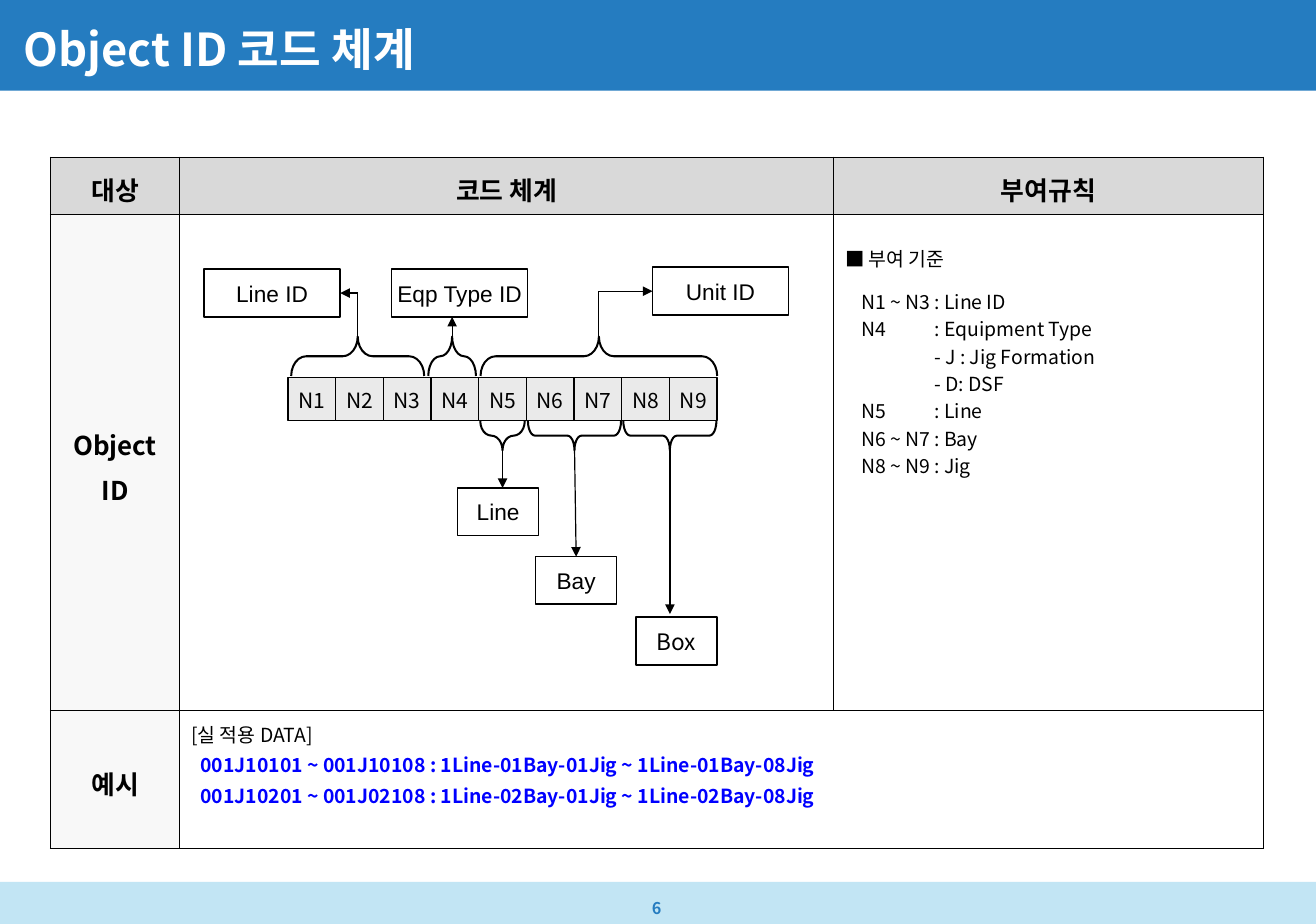
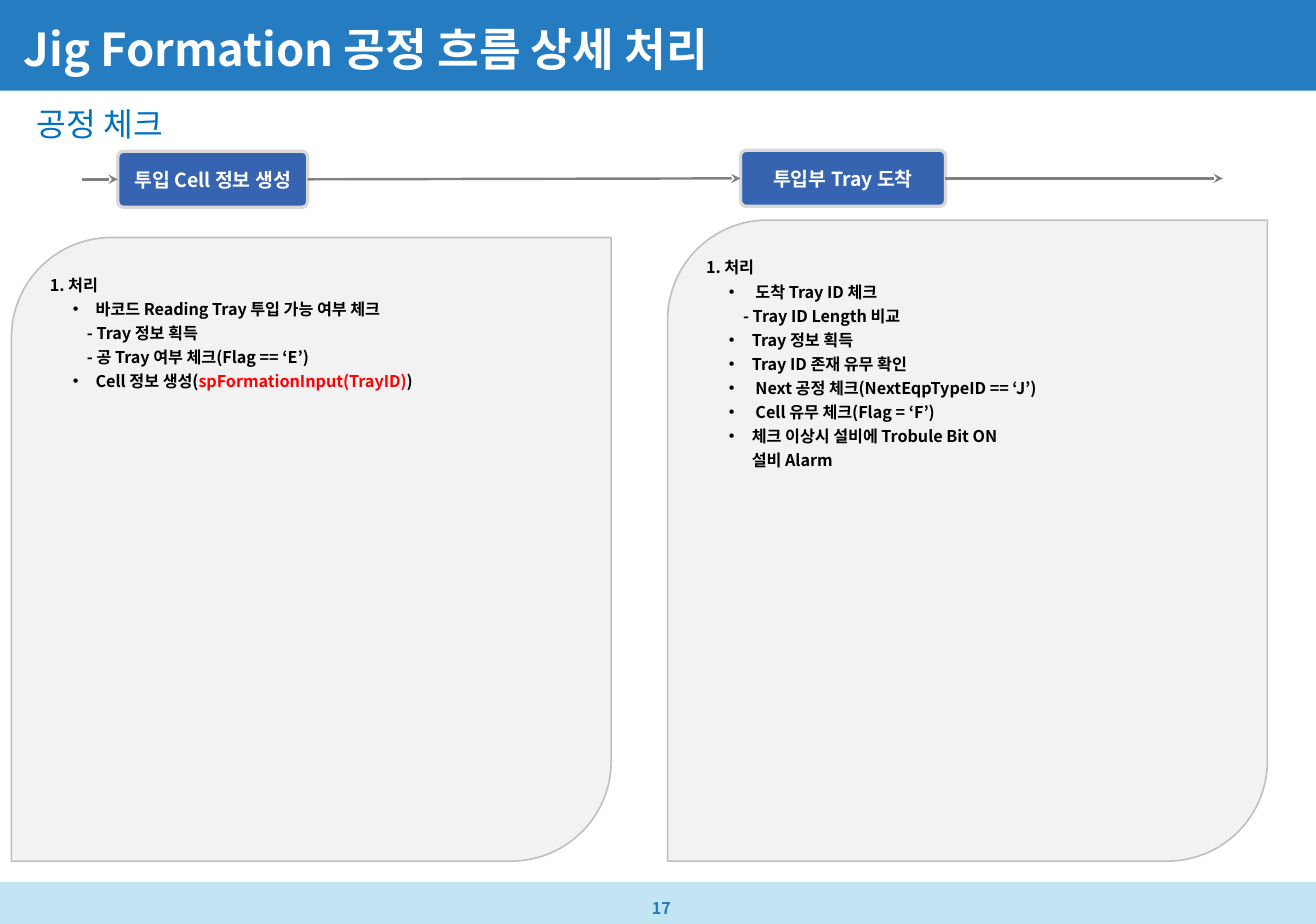
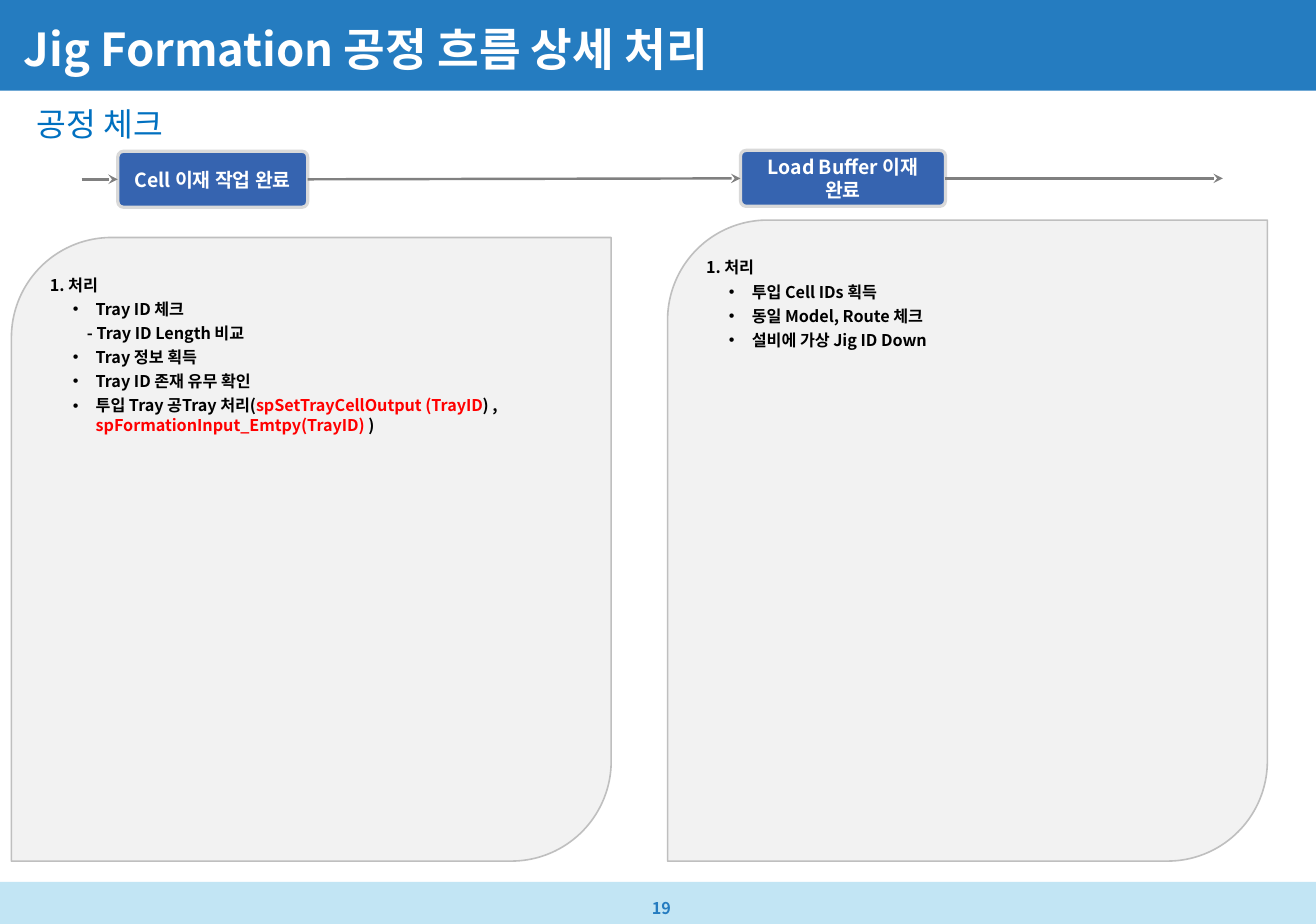
from dataclasses import dataclass

from lxml import etree
from pptx import Presentation
from pptx.dml.color import RGBColor
from pptx.enum.shapes import MSO_CONNECTOR as Line, MSO_SHAPE as Preset
from pptx.enum.text import MSO_ANCHOR as Anchor, MSO_AUTO_SIZE as AutoSize, PP_ALIGN as Align
from pptx.oxml.ns import qn
from pptx.util import Cm, Pt


@dataclass(frozen=True)
class Theme:
    font: str = "Noto Sans CJK KR"
    label_font: str = "Arial"
    black: str = "000000"
    white: str = "FFFFFF"
    band: str = "257CC0"
    footer: str = "C2E5F4"
    subtitle: str = "0070C0"
    header: str = "D9D9D9"
    side: str = "F2F2F2"
    digit: str = "EAEAEA"
    example: str = "0000FF"
    alert: str = "FF0000"
    panel_line: str = "BFBFBF"
    step: str = "3664B0"
    step_line: str = "D9D9D9"
    arrow: str = "808080"
    title_pt: int = 28
    subtitle_pt: int = 20
    head_pt: int = 16
    label_pt: int = 14
    digit_pt: int = 13
    body_pt: int = 12
    small_pt: int = 10


T = Theme()
WIDTH, HEIGHT = 28.7, 20.15
TOP, LEFT, BOTTOM, RIGHT = range(4)  # connection sites of a rectangle

# ---- Object ID slide
HEADERS = ["대상", "코드 체계", "부여규칙"]
COLUMNS, ROWS = (2.82, 14.26, 9.37), (1.25, 10.82, 3.0)
RULES = [
    "\tN1 ~ N3\t: Line ID",
    "\tN4\t: Equipment Type",
    "\t\t- J : Jig Formation",
    "\t\t- D: DSF",
    "\tN5\t: Line",
    "\tN6 ~ N7\t: Bay",
    "\tN8 ~ N9\t: Jig",
]
EXAMPLES = [
    "001J10101 ~ 001J10108 : 1Line-01Bay-01Jig ~ 1Line-01Bay-08Jig",
    "001J10201 ~ 001J02108 : 1Line-02Bay-01Jig ~ 1Line-02Bay-08Jig",
]
DIGITS = [f"N{n}" for n in range(1, 10)]
# label, its left and top, brace centre and width, side of the label that the arrow enters
UPPER_FIELDS = [
    ("Line ID", 4.45, 5.87, 7.8, 2.9, RIGHT),
    ("Eqp Type ID", 8.54, 5.87, 9.86, 1.04, BOTTOM),
    ("Unit ID", 14.23, 5.83, 13.06, 5.16, LEFT),
]
# label, its font, left and top, brace centre, width and curve, arrow end (None: middle of the top)
LOWER_FIELDS = [
    ("Line", T.label_font, 9.98, 10.64, 10.96, 0.97, 0.38, 10.64),
    ("Bay", T.label_font, 11.68, 12.14, 12.53, 2.03, 0.24, None),
    ("Box", T.font, 13.87, 13.46, 14.61, 2.03, 0.24, 13.39),
]

# ---- Process slides: each step has a label and lines of (kind, text); text between bars is red
PROCESS_TITLE, PROCESS_SUBTITLE = "Jig Formation 공정 흐름 상세 처리", "공정 체크"
LINE_INDENTS = {"head": (0, 0), "bullet": (1.0, -0.5), "dash": (0.81, 0), "more": (1.0, 0)}
STEP_BOXES = [(2.57, 3.3, 4.14), (16.15, 3.28, 4.47)]
PANELS = [(0.25, 5.18), (14.56, 4.8)]
PANEL_WIDTH, PANEL_BOTTOM, STEP_HEIGHT = 13.08, 18.78, 1.22
PROCESSES = [
    (17, [
        ("투입 Cell 정보 생성", [
            ("head", "1. 처리"),
            ("bullet", "바코드 Reading Tray 투입 가능 여부 체크"),
            ("dash", "- Tray 정보 획득"),
            ("dash", "- 공 Tray 여부 체크(Flag == ‘E’)"),
            ("bullet", "Cell 정보 생성(|spFormationInput(TrayID)|)"),
        ]),
        ("투입부 Tray 도착", [
            ("head", "1. 처리"),
            ("bullet", " 도착 Tray ID 체크"),
            ("dash", "- Tray ID Length 비교"),
            ("bullet", "Tray 정보 획득"),
            ("bullet", "Tray ID 존재 유무 확인"),
            ("bullet", " Next 공정 체크(NextEqpTypeID == ‘J’)"),
            ("bullet", " Cell 유무 체크(Flag = ‘F’)"),
            ("bullet", "체크 이상시 설비에 Trobule Bit ON"),
            ("more", "설비 Alarm"),
        ]),
    ]),
    (19, [
        ("Cell 이재 작업 완료", [
            ("head", "1. 처리"),
            ("bullet", "Tray ID 체크"),
            ("dash", "- Tray ID Length 비교"),
            ("bullet", "Tray 정보 획득"),
            ("bullet", "Tray ID 존재 유무 확인"),
            ("bullet", "투입 Tray 공Tray 처리(|spSetTrayCellOutput (TrayID|) , "
                       "|spFormationInput_Emtpy(TrayID)| )"),
        ]),
        ("Load Buffer 이재 완료", [
            ("head", "1. 처리"),
            ("bullet", "투입 Cell IDs 획득"),
            ("bullet", "동일 Model, Route 체크"),
            ("bullet", "설비에 가상 Jig ID Down"),
        ]),
    ]),
]


def rgb(color):
    return RGBColor.from_string(color)


def frame_text(holder, anchor=Anchor.MIDDLE, insets=(0, 0, 0, 0)):
    """Set anchor and insets (left, top, right, bottom) of a text frame or a table cell."""
    holder.vertical_anchor = anchor
    holder.margin_left, holder.margin_top, holder.margin_right, holder.margin_bottom = map(Cm, insets)


def write(frame, text, *, size, color=T.black, bold=False, font=T.font, align=Align.LEFT,
          spacing=1.0, before=0, margin=0, indent=0, bullet=None, tabs=()):
    """Add one paragraph; text between bars takes the alert colour."""
    first = not frame.paragraphs[0].runs
    paragraph = frame.paragraphs[0] if first else frame.add_paragraph()
    paragraph.alignment, paragraph.line_spacing = align, spacing
    paragraph.space_before = Pt(0 if first else before)
    props = paragraph._p.get_or_add_pPr()
    if not tabs:  # an explicit indent would reset the tab stops
        props.set("marL", str(Cm(margin)))
        props.set("indent", str(Cm(indent)))
    if bullet:
        etree.SubElement(props, qn("a:buFont"), typeface=T.label_font)
        etree.SubElement(props, qn("a:buChar"), char=bullet)
    else:
        etree.SubElement(props, qn("a:buNone"))
    if tabs:
        stops = etree.SubElement(props, qn("a:tabLst"))
        for stop in tabs:
            etree.SubElement(stops, qn("a:tab"), pos=str(Cm(stop)), algn="l")
    for number, part in enumerate(text.split("|")):
        if not part:
            continue
        run = paragraph.add_run()
        run.text = part
        run.font.size, run.font.bold, run.font.name = Pt(size), bold, font
        run.font.color.rgb = rgb(T.alert if number % 2 else color)
        etree.SubElement(run._r.get_or_add_rPr(), qn("a:ea"), typeface=font)


def add_preset(slide, preset, box, fill=None, line=None, weight=1):
    shape = slide.shapes.add_shape(preset, *map(Cm, box))
    shape.shadow.inherit = False
    if fill:
        shape.fill.solid()
        shape.fill.fore_color.rgb = rgb(fill)
    else:
        shape.fill.background()
    if line:
        shape.line.color.rgb = rgb(line)
        shape.line.width = Pt(weight)
    else:
        shape.line.fill.background()
    frame_text(shape.text_frame)
    shape.text_frame.word_wrap = True
    return shape


def add_text_box(slide, box, insets, text, **style):
    frame = slide.shapes.add_textbox(*map(Cm, box)).text_frame
    frame.word_wrap = True
    frame_text(frame, insets=insets)
    write(frame, text, **style)


def connect(slide, start=(0, 0), end=(0, 0), *, begin_at=None, end_at=None,
            color=T.black, weight=0.75, head=None):
    """Draw a straight line; begin_at and end_at are (shape, side) and replace the points."""
    line = slide.shapes.add_connector(Line.STRAIGHT, *map(Cm, (*start, *end)))
    if begin_at:
        line.begin_connect(*begin_at)
    if end_at:
        line.end_connect(*end_at)
    line.line.color.rgb = rgb(color)
    line.line.width = Pt(weight)
    props = line._element.spPr
    if head:
        etree.SubElement(props.find(qn("a:ln")), qn("a:tailEnd"), type=head)
    etree.SubElement(props, qn("a:effectLst"))


def new_slide(deck, title, page):
    """Add a slide with the shared bands, title and page number."""
    slide = deck.slides.add_slide(deck.slide_layouts[5])
    for top, height, color in ((0, 1.98, T.band), (19.23, 0.92, T.footer)):
        band = add_preset(slide, Preset.RECTANGLE, (0, top, WIDTH, height), color)
        slide.shapes.element.insert(2, band.element)
    heading = slide.shapes.title
    heading.left, heading.top, heading.width, heading.height = map(Cm, (0.27, 0.56, 24.74, 1.1))
    frame = heading.text_frame
    frame.auto_size = AutoSize.NONE
    frame_text(frame, Anchor.BOTTOM, (0.25, 0.13, 0.25, 0))
    write(frame, title, size=T.title_pt, color=T.white, bold=True, spacing=0.9)
    add_text_box(slide, (14.22, 19.43, 1.75, 0.71), (0, 0.2, 0, 0.2), str(page),
                 size=T.small_pt, color=T.band, bold=True, spacing=1.1)
    return slide


def style_cell(cell, fill=None, alpha=None, anchor=Anchor.MIDDLE, top=0.13):
    frame_text(cell, anchor, (0.25, top, 0.25, 0.13))
    props = cell._tc.get_or_add_tcPr()
    if fill:
        cell.fill.solid()
        cell.fill.fore_color.rgb = rgb(fill)
        if alpha:
            etree.SubElement(props.find(".//" + qn("a:srgbClr")), qn("a:alpha"), val=str(alpha * 1000))
    else:
        cell.fill.background()
    for position, edge in enumerate(("lnL", "lnR", "lnT", "lnB")):
        border = etree.Element(qn("a:" + edge), w=str(Pt(1)))
        etree.SubElement(etree.SubElement(border, qn("a:solidFill")), qn("a:srgbClr"), val=T.black)
        props.insert(position, border)


def add_rule_table(slide):
    box = map(Cm, (1.1, 3.43, sum(COLUMNS), sum(ROWS)))
    table = slide.shapes.add_table(len(ROWS), len(COLUMNS), *box).table
    table.first_row = table.horz_banding = False
    for column, width in zip(table.columns, COLUMNS):
        column.width = Cm(width)
    for row, height in zip(table.rows, ROWS):
        row.height = Cm(height)
    table.cell(2, 1).merge(table.cell(2, 2))

    heads = [(0, column, text, T.header, None) for column, text in enumerate(HEADERS)]
    heads += [(row, 0, text, T.side, 50) for row, text in ((1, "Object ID"), (2, "예시"))]
    for row, column, text, fill, alpha in heads:
        cell = table.cell(row, column)
        style_cell(cell, fill, alpha)
        write(cell.text_frame, text, size=T.head_pt, bold=True, align=Align.CENTER, spacing=1.2)

    diagram, rules, examples, covered = (table.cell(*at) for at in ((1, 1), (1, 2), (2, 1), (2, 2)))
    for cell, top in ((diagram, 0.13), (rules, 0.69), (examples, 0.13), (covered, 0.13)):
        style_cell(cell, anchor=Anchor.TOP, top=top)
    write(rules.text_frame, "■ 부여 기준", size=T.body_pt, spacing=0.9)
    for number, rule in enumerate(RULES):
        write(rules.text_frame, rule, size=T.body_pt, spacing=0.9,
              before=1.2 if number else 11, tabs=(0.35, 1.95))
    write(examples.text_frame, "[실 적용 DATA]", size=T.body_pt, spacing=1.1)
    for example in EXAMPLES:
        write(examples.text_frame, example, size=T.body_pt, color=T.example, bold=True,
              spacing=1.1, margin=0.2)


def add_label(slide, text, left, top, width, font=T.label_font):
    label = add_preset(slide, Preset.RECTANGLE, (left, top, width, 1.04), line=T.black)
    write(label.text_frame, text, size=T.label_pt, font=font, align=Align.CENTER)
    return label


def add_brace(slide, center, top, width, depth, rotation, curve=0.38):
    """Lay a brace flat: rotation 90 points its tip up, 270 down."""
    box = (center - depth / 2, top + (depth - width) / 2, depth, width)
    brace = add_preset(slide, Preset.LEFT_BRACE, box, line=T.black, weight=1.25)
    brace.rotation = rotation
    brace.adjustments[0], brace.adjustments[1] = curve, 0.5


def add_code_diagram(slide):
    digit_left, digit_top, pitch, digit_height = 6.28, 8.23, 1.04, 0.94
    for number, digit in enumerate(DIGITS):
        box = (digit_left + number * pitch, digit_top, pitch, digit_height)
        square = add_preset(slide, Preset.RECTANGLE, box, T.digit, T.black, 0.75)
        write(square.text_frame, digit, size=T.digit_pt, align=Align.CENTER, spacing=1.1)

    brace_top, depth, half = 7.34, 0.86, 0.52
    for text, left, top, center, width, side in UPPER_FIELDS:
        label = add_label(slide, text, left, top, 2.97)
        add_brace(slide, center, brace_top, width, depth, 90)
        tip = (center, brace_top)
        if side == BOTTOM:
            connect(slide, tip, (center, top + 2 * half), head="triangle")
        else:
            corner = (center, top + half)
            connect(slide, tip, corner)
            connect(slide, corner, end_at=(label, side), head="triangle")

    brace_top, depth = 9.18, 0.64
    for text, font, left, top, center, width, curve, arrow_end in LOWER_FIELDS:
        label = add_label(slide, text, left, top, 1.77, font)
        add_brace(slide, center, brace_top, width, depth, 270, curve)
        tip = (center, brace_top + depth)
        if arrow_end is None:
            connect(slide, tip, end_at=(label, TOP), head="triangle")
        else:
            connect(slide, tip, (center, arrow_end), head="triangle")


def add_process(deck, page, steps):
    slide = new_slide(deck, PROCESS_TITLE, page)
    add_text_box(slide, (0.55, 2.14, 27.61, 1.22), (0.25, 0.13, 0.25, 0.13), PROCESS_SUBTITLE,
                 size=T.subtitle_pt, color=T.subtitle, spacing=0.9)
    boxes = []
    for (name, lines), (left, top, width), (panel_left, panel_top) in zip(steps, STEP_BOXES, PANELS):
        panel = add_preset(slide, Preset.ROUND_2_DIAG_RECTANGLE,
                           (panel_left, panel_top, PANEL_WIDTH, PANEL_BOTTOM - panel_top),
                           T.side, T.panel_line)
        frame_text(panel.text_frame, Anchor.TOP, (0.2, 0.1, 0.1, 0.1))
        for kind, text in lines:
            margin, indent = LINE_INDENTS[kind]
            write(panel.text_frame, text, size=T.small_pt, bold=True, before=2.9,
                  spacing=1.2 if kind == "head" else 1.0, margin=margin, indent=indent,
                  bullet="•" if kind == "bullet" else None)
        step = add_preset(slide, Preset.ROUNDED_RECTANGLE, (left, top, width, STEP_HEIGHT),
                          T.step, T.step_line, 2)
        step.adjustments[0] = 0.1
        frame_text(step.text_frame, insets=(0.15, 0.1, 0.15, 0.1))
        write(step.text_frame, name, size=T.body_pt, color=T.white, bold=True, align=Align.CENTER)
        boxes.append(step)

    first, second = boxes
    flow = dict(color=T.arrow, weight=1.5, head="stealth")
    start_y, end_y = (top + STEP_HEIGHT / 2 for _, top, _ in STEP_BOXES)
    connect(slide, (1.78, start_y), end_at=(first, LEFT), **flow)
    connect(slide, begin_at=(first, RIGHT), end_at=(second, LEFT), **flow)
    connect(slide, end=(26.67, end_y), begin_at=(second, RIGHT), **flow)


def main():
    deck = Presentation()
    deck.slide_width, deck.slide_height = Cm(WIDTH), Cm(HEIGHT)
    object_id = new_slide(deck, "Object ID 코드 체계", 6)
    add_rule_table(object_id)
    add_code_diagram(object_id)
    for page, steps in PROCESSES:
        add_process(deck, page, steps)
    deck.save("out.pptx")


if __name__ == "__main__":
    main()
